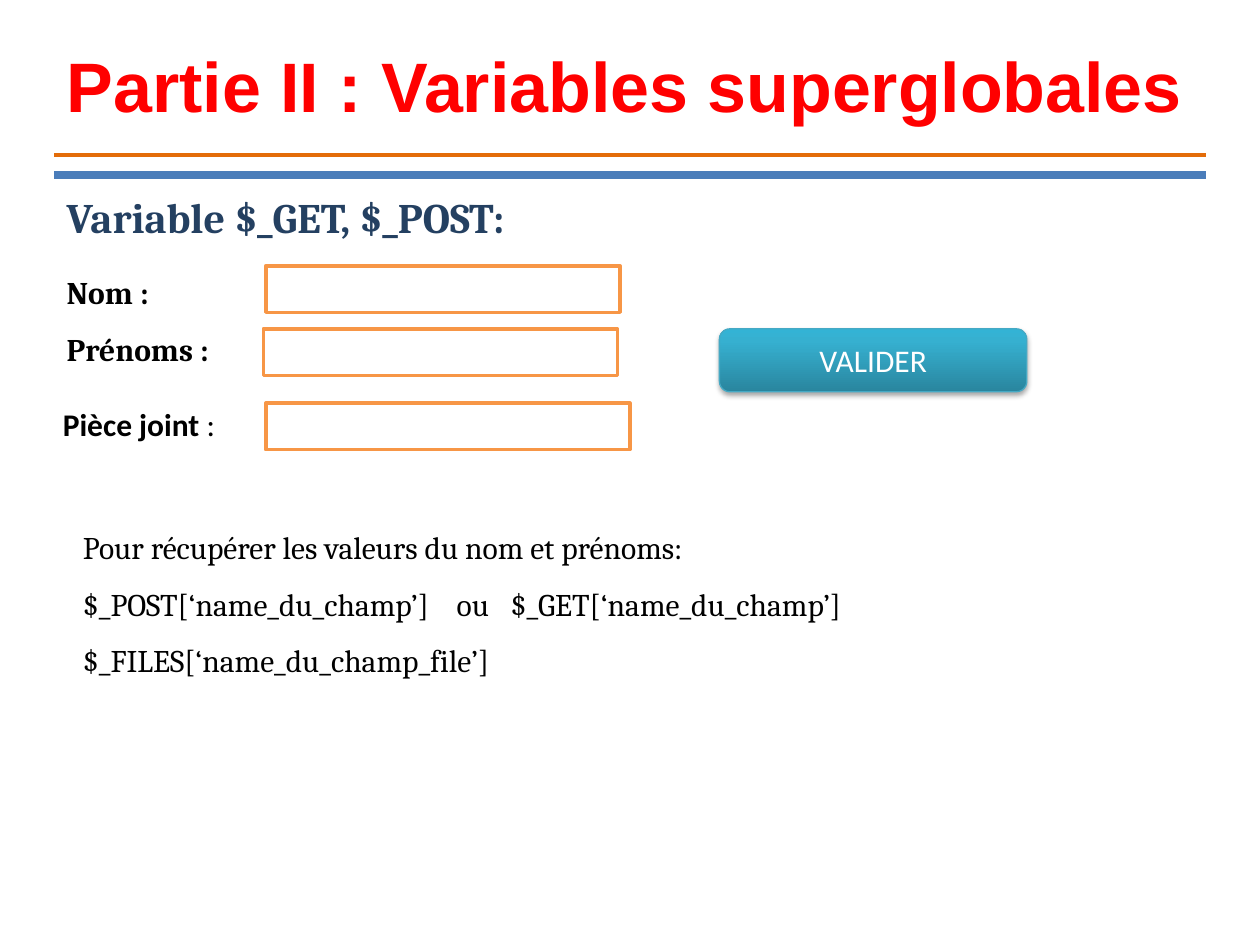
import copy

import lxml.etree
import pptx
import pptx.dml.color
import pptx.enum.shapes
import pptx.enum.text
import pptx.oxml
import pptx.oxml.ns
import pptx.util

Pt = pptx.util.Pt
Shapes = pptx.enum.shapes.MSO_SHAPE
qn = pptx.oxml.ns.qn

THEME = {
    "title": {"font": "Arial", "size": 40, "color": "FF0000", "bold": True},
    "heading": {"font": "Cambria", "size": 24, "color": "244061", "bold": True},
    "label": {"font": "Cambria", "size": 18, "color": "000000", "bold": True},
    "body": {"font": "Cambria", "size": 18, "color": "000000"},
    "file_label": {"font": "Calibri", "size": 18, "color": "000000", "bold": True},
    "file_colon": {"font": "Calibri", "size": 18, "color": "000000"},
    "button": {"font": "Calibri", "size": 18, "color": "FFFFFF"},
    "field_fill": "FFFFFF",
    "field_line": "F79646",
    "button_line": "45A9C4",
    "button_stops": [(0, "29859E"), (0.8, "36B0D0"), (1, "33B3D5")],
    "shadow": "000000",
}

# Each paragraph is a list of (text, style) spans.
TEXTS = [
    {"place": (31, 20.9, 674.6, 55.4), "grow": True,
     "paragraphs": [[("Partie II : Variables superglobales", "title")]]},
    {"place": (31, 105.8, 339.8, 36),
     "paragraphs": [[("Variable $_GET, $_POST:", "heading")]]},
    {"place": (31, 141.8, 646.6, 72.7), "spacing": 1.5,
     "paragraphs": [[("Nom :", "label")], [("Prénoms :", "label")]]},
    {"place": (28.8, 228.2, 382.3, 28.8), "grow": True,
     "paragraphs": [[("Pièce joint ", "file_label"), (":", "file_colon")]]},
    {"place": (40.3, 287.3, 608.4, 105.1), "grow": True, "spacing": 1.5,
     "tabs": (213.6, 244.4),
     "paragraphs": [
         [("Pour récupérer les valeurs du nom et prénoms:", "body")],
         [("$_POST[‘name_du_champ’]\tou\t$_GET[‘name_du_champ’]", "body")],
         [("$_FILES[‘name_du_champ_file’]", "body")],
     ]},
]
RULES = [(88.6, "E36C09", 2.25), (100.1, "4A7DBA", 4.5)]
RULE_LEFT, RULE_RIGHT = 31, 689
FIELD_HEIGHT = 26.6
FIELDS = [(151.9, 151.9, 202.3), (150.5, 187.9, 202.3), (151.9, 230.4, 208.1)]
BUTTON = ("VALIDER", (411.1, 187.9, 175.7, 36))


def rgb(value):
    return pptx.dml.color.RGBColor.from_string(value)


def add_span(para, text, *, font, size, color, bold=False):
    span = para.add_run()
    span.text = text
    span.font.name = font
    span.font.size = Pt(size)
    span.font.color.rgb = rgb(color)
    span.font.bold = bold


def add_tabs(para, positions):
    properties = para._p.get_or_add_pPr()
    tab_list = lxml.etree.SubElement(properties, qn("a:tabLst"))
    for position in positions:
        lxml.etree.SubElement(tab_list, qn("a:tab"), pos=str(Pt(position)), algn="l")


def add_text(page, *, place, paragraphs, grow=False, spacing=None, tabs=()):
    box = page.shapes.add_textbox(*map(Pt, place))
    frame = box.text_frame
    frame.word_wrap = True
    if grow:
        frame.auto_size = pptx.enum.text.MSO_AUTO_SIZE.SHAPE_TO_FIT_TEXT
    for index, spans in enumerate(paragraphs):
        para = frame.add_paragraph() if index else frame.paragraphs[0]
        if tabs:
            add_tabs(para, tabs)
        if spacing:
            para.line_spacing = spacing
        for text, style in spans:
            add_span(para, text, **THEME[style])


def add_rule(page, top, color, width):
    rule = page.shapes.add_connector(
        pptx.enum.shapes.MSO_CONNECTOR.STRAIGHT,
        Pt(RULE_LEFT), Pt(top), Pt(RULE_RIGHT), Pt(top))
    rule.line.color.rgb = rgb(color)
    rule.line.width = Pt(width)
    lxml.etree.SubElement(rule._element.spPr, qn("a:effectLst"))


def add_box(page, kind, place, line_color, line_width):
    box = page.shapes.add_shape(kind, *map(Pt, place))
    box.line.color.rgb = rgb(line_color)
    box.line.width = Pt(line_width)
    box.shadow.inherit = False
    return box


def add_field(page, left, top, width):
    field = add_box(page, Shapes.RECTANGLE, (left, top, width, FIELD_HEIGHT),
                    THEME["field_line"], 2)
    field.fill.solid()
    field.fill.fore_color.rgb = rgb(THEME["field_fill"])


def fill_gradient(fill, stops, angle):
    fill.gradient()
    fill.gradient_angle = angle
    stop_list = fill._fill._gradFill.gsLst
    while len(stop_list) < len(stops):
        stop_list.append(copy.deepcopy(stop_list[-1]))
    for stop, (position, color) in zip(fill.gradient_stops, stops):
        stop.position = position
        stop.color.rgb = rgb(color)


def add_shadow(shape, color):
    """Put a soft shadow straight below the shape."""
    effects = shape._element.spPr.find(qn("a:effectLst"))
    shadow = lxml.etree.SubElement(
        effects, qn("a:outerShdw"), blurRad=str(Pt(3.1)), dist=str(Pt(1.8)),
        dir="5400000", rotWithShape="0")
    tint = lxml.etree.SubElement(shadow, qn("a:srgbClr"), val=color)
    lxml.etree.SubElement(tint, qn("a:alpha"), val="35000")


def add_button(page, text, place):
    button = add_box(page, Shapes.ROUNDED_RECTANGLE, place, THEME["button_line"], 0.75)
    button.adjustments[0] = 0.167
    fill_gradient(button.fill, THEME["button_stops"], 90)
    add_shadow(button, THEME["shadow"])
    button.text_frame.vertical_anchor = pptx.enum.text.MSO_ANCHOR.MIDDLE
    para = button.text_frame.paragraphs[0]
    para.alignment = pptx.enum.text.PP_ALIGN.CENTER
    add_span(para, text, **THEME["button"])


def main():
    deck = pptx.Presentation()
    deck.slide_width, deck.slide_height = Pt(720), Pt(540)
    page = deck.slides.add_slide(deck.slide_layouts[6])
    for rule in RULES:
        add_rule(page, *rule)
    for text in TEXTS:
        add_text(page, **text)
    for field in FIELDS:
        add_field(page, *field)
    add_button(page, *BUTTON)
    deck.save("out.pptx")


if __name__ == "__main__":
    main()
